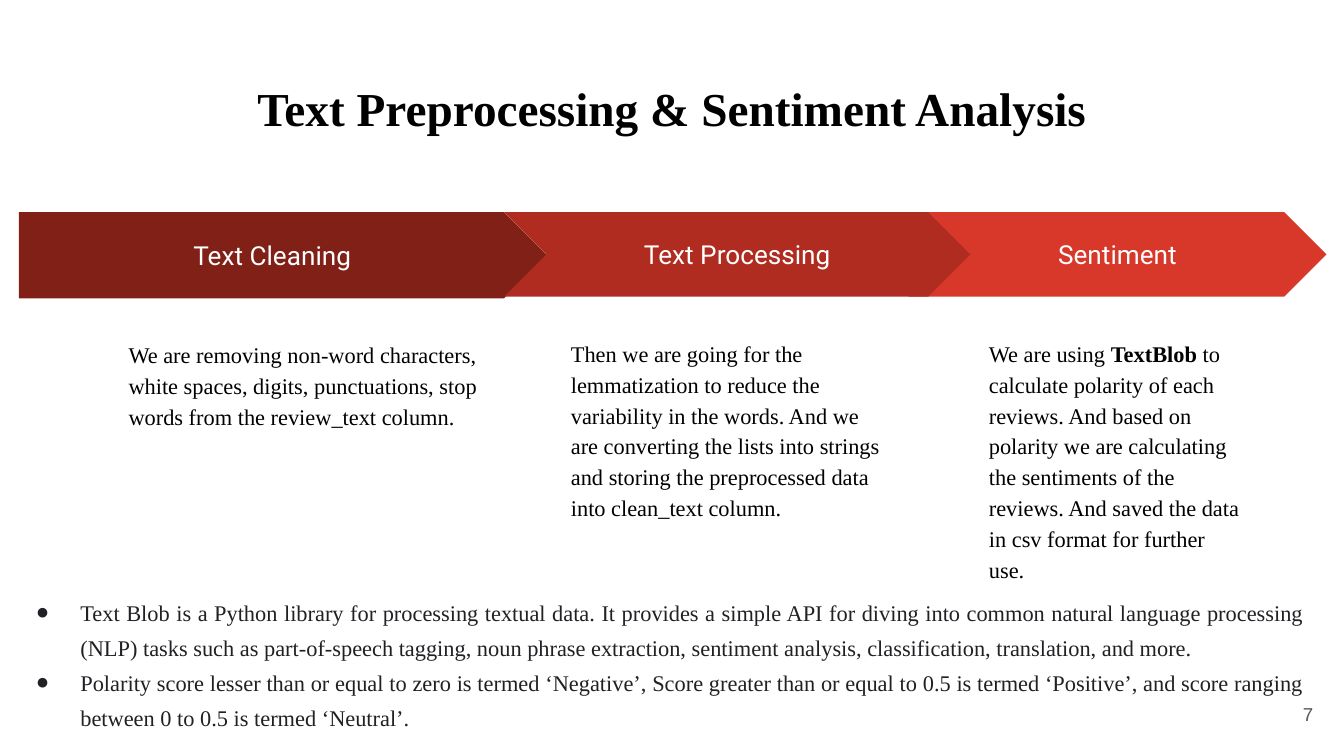
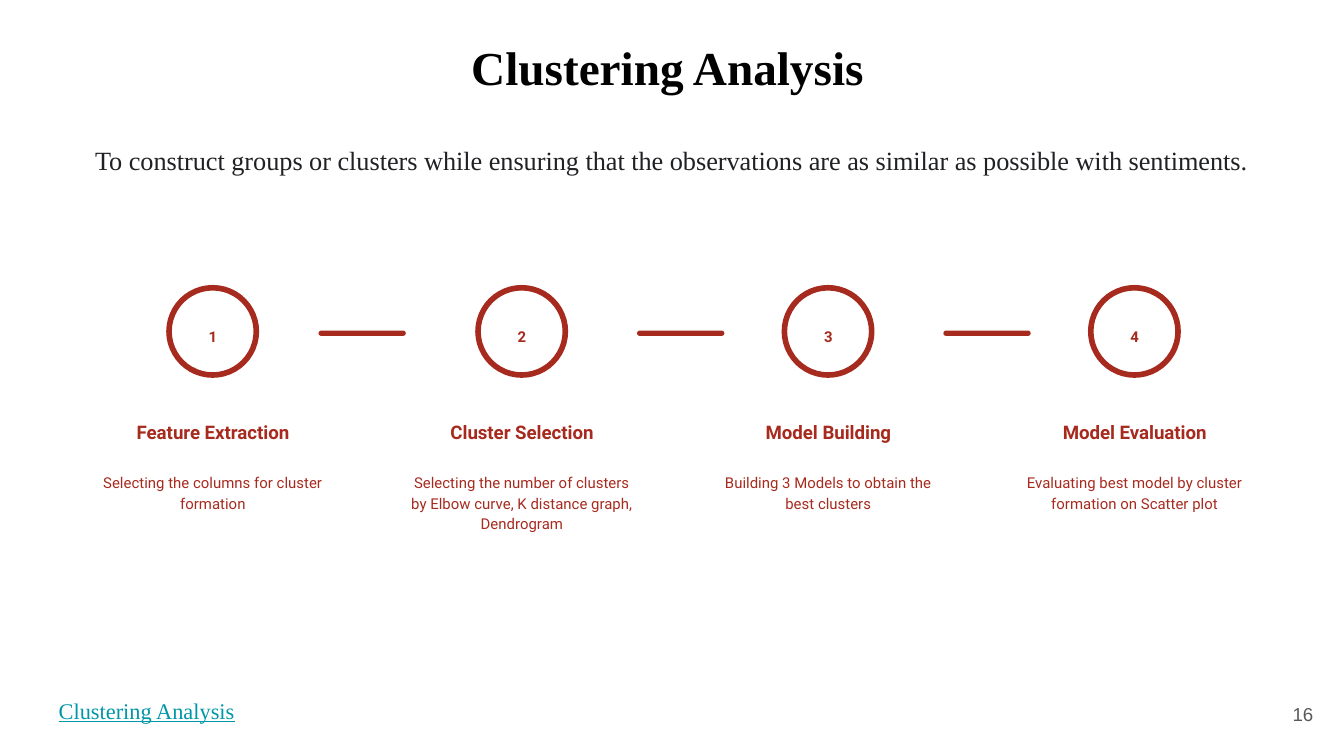
from lxml.etree import SubElement as Sub
from pptx import Presentation
from pptx.dml.color import RGBColor as Rgb
from pptx.enum.shapes import MSO_SHAPE as Shp
from pptx.enum.text import MSO_ANCHOR as Anc, MSO_AUTO_SIZE as Fit, PP_ALIGN as Al
from pptx.oxml.ns import qn
from pptx.util import Cm, Pt

HUES = {"black": "000000", "white": "FFFFFF", "ink": "202124", "grey": "595959",
        "link": "0097A7", "dark": "802017", "mid": "B02C20", "light": "D83829",
        "step": "A72A1E"}
SERIF, SANS = "Times New Roman", "Roboto"

# Text styles: font values, then colour name
TITLE = {"name": SERIF, "size": Pt(25.3), "bold": True}, "black"
NOTE = {"name": SERIF, "size": Pt(12), "bold": False}, "black"
BODY = {"name": SERIF, "size": Pt(12)}, "ink"
LEAD = {"name": SERIF, "size": Pt(14.1)}, "ink"
LINK = {"name": SERIF, "size": Pt(12), "underline": True}, "link"
BAND = {"name": SANS, "size": Pt(14)}, "white"
HEAD = {"name": SANS, "size": Pt(10), "bold": True}, "step"
DIGIT = {"name": SANS, "size": Pt(8), "bold": True}, "step"
SMALL = {"name": SANS, "size": Pt(8)}, "step"
PAGE = {"name": "Arial", "size": Pt(10)}, "grey"


def hue(name):
    return Rgb.from_string(HUES[name])


def apply(item, values):
    for key, value in values.items():
        setattr(item, key, value)


def style(run, look):
    values, tone = look
    apply(run.font, values)
    run.font.color.rgb = hue(tone)


def write(shape, paras, look, align=Al.LEFT, anchor=Anc.TOP, gap=1.0):
    """Fill a shape; a paragraph is a list of (text, bold or None) or a string."""
    frame = shape.text_frame
    apply(frame, {"word_wrap": True, "auto_size": Fit.NONE, "vertical_anchor": anchor})
    apply(frame, {"margin_" + side: Cm(0.25) for side in ("left", "top", "right", "bottom")})
    for i, para in enumerate(paras):
        line = frame.paragraphs[0] if i == 0 else frame.add_paragraph()
        apply(line, {"alignment": align, "line_spacing": gap})
        for text, bold in [(para, None)] if isinstance(para, str) else para:
            run = line.add_run()
            run.text = text
            style(run, look)
            if bold is not None:
                run.font.bold = bold
    return frame


def text(slide, box, paras, look, **opts):
    return write(slide.shapes.add_textbox(*map(Cm, box)), paras, look, **opts)


def draw(slide, kind, box, fill=None, line=None):
    shape = slide.shapes.add_shape(kind, *map(Cm, box))
    shape.shadow.inherit = False
    if fill:
        shape.fill.solid()
        shape.fill.fore_color.rgb = hue(fill)
    else:
        shape.fill.background()
    if line:
        shape.line.color.rgb = hue(line)
        shape.line.width = Pt(3)
    else:
        shape.line.fill.background()
    return shape


def shade(run):
    """Soft shadow below the letters."""
    props = run.font.fill and run.font.color and run._r.get_or_add_rPr()
    effect = Sub(props, qn("a:effectLst"))
    props.find(qn("a:solidFill")).addnext(effect)
    outer = Sub(effect, qn("a:outerShdw"), blurRad="38100", dist="38100", dir="5400000")
    tone = Sub(outer, qn("a:srgbClr"), val=HUES["black"])
    Sub(tone, qn("a:alpha"), val="50000")


def start(deck, title, box, page):
    """Title-only slide with its heading and page number."""
    slide = deck.slides.add_slide(deck.slide_layouts[5])
    head = slide.shapes.title
    apply(head, dict(zip(("left", "top", "width", "height"), map(Cm, box))))
    frame = write(head, [title], TITLE, align=Al.CENTER)
    shade(frame.paragraphs[0].runs[0])
    text(slide, (23.55, 12.95, 1.52, 1.09), [page], PAGE, align=Al.RIGHT, anchor=Anc.MIDDLE)
    return slide


def stage(slide, box, kind, fill, label, inset, width, note):
    """Arrow band with its note underneath."""
    x, y, w, h = box
    band = draw(slide, kind, box, fill)
    write(band, [label], BAND, align=Al.CENTER, anchor=Anc.MIDDLE)
    text(slide, (x + inset, y + h + 0.49, width, 6.27), [note], NOTE, gap=1.15)


def points(slide, box, items):
    """Justified bullet list."""
    frame = text(slide, box, items, BODY, align=Al.JUSTIFY, gap=1.3)
    for line in frame.paragraphs:
        props = line._p.get_or_add_pPr()
        props.set("marL", str(Cm(1.27)))
        props.set("indent", str(-Cm(0.84)))
        Sub(Sub(props, qn("a:buClr")), qn("a:srgbClr"), val=HUES["ink"])
        Sub(props, qn("a:buFont"), typeface=SERIF)
        Sub(props, qn("a:buChar"), char="●")


def step(slide, box, num, label, note):
    """Numbered ring with a label and a note, centred in the box."""
    x, y, w, _ = box
    mid = x + w / 2
    draw(slide, Shp.OVAL, (mid - 0.83, y, 1.65, 1.65), line="step")
    text(slide, (mid - 0.61, y + 0.46, 1.22, 0.89), [num], DIGIT, align=Al.CENTER, gap=1.15)
    text(slide, (x, y + 1.95, w, 1.24), [label], HEAD,
         align=Al.CENTER, anchor=Anc.BOTTOM, gap=1.15)
    text(slide, (x, y + 3.22, w, 2.06), [note], SMALL, align=Al.CENTER, gap=1.15)


def prep(deck):
    slide = start(deck, "Text Preprocessing & Sentiment Analysis", (0.86, 1.24, 23.67, 1.6), "7")
    # Bands, back to front
    top = 4.01
    stage(slide, (17.17, top, 7.9, 1.6), Shp.CHEVRON, "light", "Sentiment", 1.27, 5.33,
          [("We are using ", None), ("TextBlob", True),
           (" to calculate polarity of each reviews. And based on polarity we are "
            "calculating the sentiments of the reviews. And saved the data in csv "
            "format for further use.", None)])
    stage(slide, (0.36, top, 9.98, 1.63), Shp.PENTAGON, "dark", "Text Cleaning", 1.82, 7.21,
          "We are removing non-word characters, white spaces, digits, punctuations, "
          "stop words from the review_text column.")
    stage(slide, (9.53, top, 8.81, 1.6), Shp.CHEVRON, "mid", "Text Processing", 1.01, 6.45,
          "Then we are going for the lemmatization to reduce the variability in the "
          "words. And we are converting the lists into strings and storing the "
          "preprocessed data into clean_text column.")
    points(slide, (0, 10.92, 24.92, 3.48), [
        "Text Blob is a Python library for processing textual data. It provides a simple "
        "API for diving into common natural language processing (NLP) tasks such as "
        "part-of-speech tagging, noun phrase extraction, sentiment analysis, "
        "classification, translation, and more.",
        "Polarity score lesser than or equal to zero is termed ‘Negative’, Score greater "
        "than or equal to 0.5 is termed ‘Positive’, and score ranging between 0 to 0.5 "
        "is termed ‘Neutral’."])


def cluster(deck):
    slide = start(deck, "Clustering Analysis", (0.78, 0.48, 23.67, 1.6), "16")
    text(slide, (0.86, 2.39, 23.67, 1.2),
         ["To construct groups or clusters while ensuring that the observations are as "
          "similar as possible with sentiments."], LEAD, align=Al.CENTER, gap=1.15)
    # Steps
    top, pitch = 5.44, 5.79
    steps = [("Feature Extraction", "Selecting the columns for cluster formation"),
             ("Cluster Selection", "Selecting the number of clusters by Elbow curve, "
                                   "K distance graph, Dendrogram"),
             ("Model Building", "Building 3 Models to obtain the best clusters"),
             ("Model Evaluation", "Evaluating best model by cluster formation on Scatter plot")]
    lefts = [1.65] + [7.49 + pitch * i for i in range(3)]
    for i, (left, (label, note)) in enumerate(zip(lefts, steps), 1):
        step(slide, (left, top, 4.75, 5.28), str(i), label, note)
    # Dashes between steps
    for left in (6.02, 12.04, 12.04 + pitch):
        dash = draw(slide, Shp.ROUNDED_RECTANGLE, (left, top + 0.81, 1.65, 0.1), "step")
        dash.adjustments[0] = 0.5
    text(slide, (0.86, 12.92, 6, 1), ["Clustering Analysis"], LINK)


def main():
    deck = Presentation()
    apply(deck, {"slide_width": Cm(25.4), "slide_height": Cm(14.29)})
    prep(deck)
    cluster(deck)
    deck.save("out.pptx")


if __name__ == "__main__":
    main()
